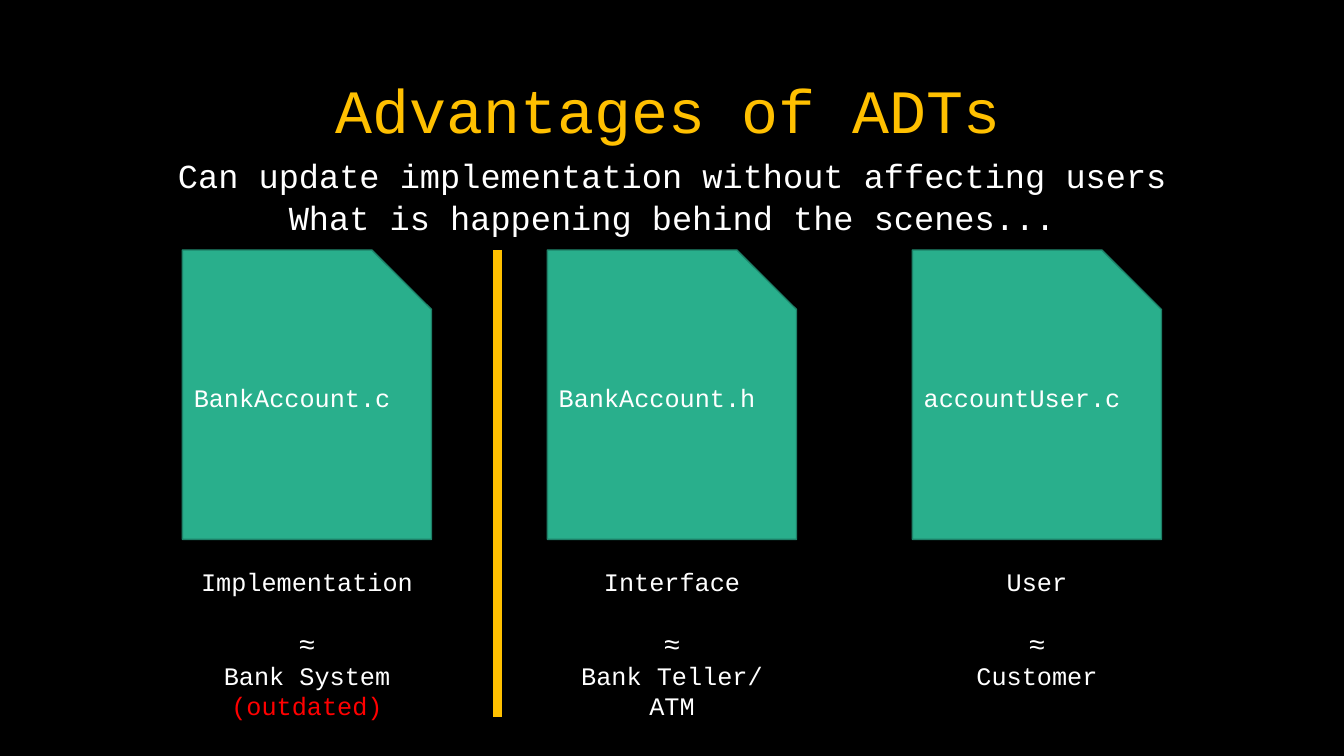
from lxml import etree
from pptx import Presentation
from pptx.dml.color import RGBColor
from pptx.enum.shapes import MSO_CONNECTOR, MSO_SHAPE
from pptx.enum.text import MSO_ANCHOR, PP_ALIGN
from pptx.oxml.ns import qn
from pptx.util import Inches, Pt

STRAIGHT = MSO_CONNECTOR.STRAIGHT
SNIPPED_PAGE = MSO_SHAPE.SNIP_1_RECTANGLE
CENTER = PP_ALIGN.CENTER
TOP, MIDDLE = MSO_ANCHOR.TOP, MSO_ANCHOR.MIDDLE

WIDTH, HEIGHT = 13.33, 7.5
FONT = "Courier New"
COLORS = {
    "background": "000000",
    "text": "FFFFFF",
    "accent": "FFC000",
    "page": "29AF8C",
    "page_edge": "1E8168",
    "warning": "FF0000",
}

COLUMN_LEFT, COLUMN_WIDTH, COLUMN_PITCH = 1.81, 2.47, 3.62
COLUMN_TOP, COLUMN_HEIGHT = 2.48, 4.73
PAGE_SHARE, ROLE_SHARE, ANALOGY_SHARE = 0.607, 0.653, 0.78

COLUMNS = [
    ("BankAccount.c", "Implementation", [("Bank System", "text"), ("(outdated)", "warning")]),
    ("BankAccount.h", "Interface", [("Bank Teller/", "text"), ("ATM", "text")]),
    ("accountUser.c", "User", [("Customer", "text")]),
]


def color(name):
    return RGBColor.from_string(COLORS[name])


def write_line(paragraph, text, size=18, color_name="text", spacing=None):
    paragraph.alignment = CENTER
    if spacing:
        paragraph.line_spacing = spacing
    run = paragraph.add_run()
    run.text = text
    run.font.name = FONT
    run.font.size = Pt(size)
    run.font.color.rgb = color(color_name)


def add_text(slide, box, lines, anchor=TOP):
    shape = slide.shapes.add_textbox(*map(Inches, box))
    frame = shape.text_frame
    frame.word_wrap = True
    frame.vertical_anchor = anchor
    for index, (text, options) in enumerate(lines):
        paragraph = frame.add_paragraph() if index else frame.paragraphs[0]
        write_line(paragraph, text, **options)


def add_heading(slide, box):
    left, top, width, height = box
    title = {"size": 44, "color_name": "accent", "spacing": 0.9}
    add_text(slide, (left, top, width, height * 0.72), [("Advantages of ADTs", title)], MIDDLE)
    center = WIDTH / 2
    subtitles = [
        ("Can update implementation without affecting users", 10.18, 0.54),
        ("What is happening behind the scenes...", 8.94, 0.75),
    ]
    for text, line_width, share in subtitles:
        line_box = (center - line_width / 2, top + height * share, line_width, 0.5)
        add_text(slide, line_box, [(text, {"size": 24})])


def add_page(slide, box, file_name):
    shape = slide.shapes.add_shape(SNIPPED_PAGE, *map(Inches, box))
    shape.adjustments[0] = 0.239
    shape.shadow.inherit = False
    shape.fill.solid()
    shape.fill.fore_color.rgb = color("page")
    shape.line.color.rgb = color("page_edge")
    shape.line.width = Pt(1)
    frame = shape.text_frame
    frame.word_wrap = True
    frame.vertical_anchor = MIDDLE
    frame.margin_bottom = Inches(0.3)
    write_line(frame.paragraphs[0], file_name)


def add_column(slide, box, file_name, role, analogy):
    left, top, width, height = box
    add_page(slide, (left, top, width, height * PAGE_SHARE), file_name)
    add_text(slide, (left, top + height * ROLE_SHARE, width, 0.4), [(role, {})])
    lines = [("≈", {"size": 20})]
    lines += [(text, {"color_name": name}) for text, name in analogy]
    analogy_box = (left, top + height * ANALOGY_SHARE, width, 0.44 + 0.3 * len(analogy))
    add_text(slide, analogy_box, lines)


def add_divider(slide, box):
    left, top, width, height = box
    x = Inches(left + width / 2)
    connector = slide.shapes.add_connector(STRAIGHT, x, Inches(top), x, Inches(top + height))
    connector.line.color.rgb = color("accent")
    connector.line.width = Pt(6)
    properties = connector._element.spPr
    etree.SubElement(properties, qn("a:effectLst"))


def build_slide(presentation):
    slide = presentation.slides.add_slide(presentation.slide_layouts[6])
    slide.background.fill.solid()
    slide.background.fill.fore_color.rgb = color("background")
    add_heading(slide, (0.36, 0.4, 12.54, 2.01))
    for index, (file_name, role, analogy) in enumerate(COLUMNS):
        left = COLUMN_LEFT + index * COLUMN_PITCH
        box = (left, COLUMN_TOP, COLUMN_WIDTH, COLUMN_HEIGHT)
        add_column(slide, box, file_name, role, analogy)
    gap = COLUMN_PITCH - COLUMN_WIDTH
    gap_left = COLUMN_LEFT + COLUMN_WIDTH
    add_divider(slide, (gap_left + 0.08, COLUMN_TOP, gap, COLUMN_HEIGHT - 0.1))


def main():
    presentation = Presentation()
    presentation.slide_width = Inches(WIDTH)
    presentation.slide_height = Inches(HEIGHT)
    build_slide(presentation)
    presentation.save("out.pptx")


if __name__ == "__main__":
    main()
